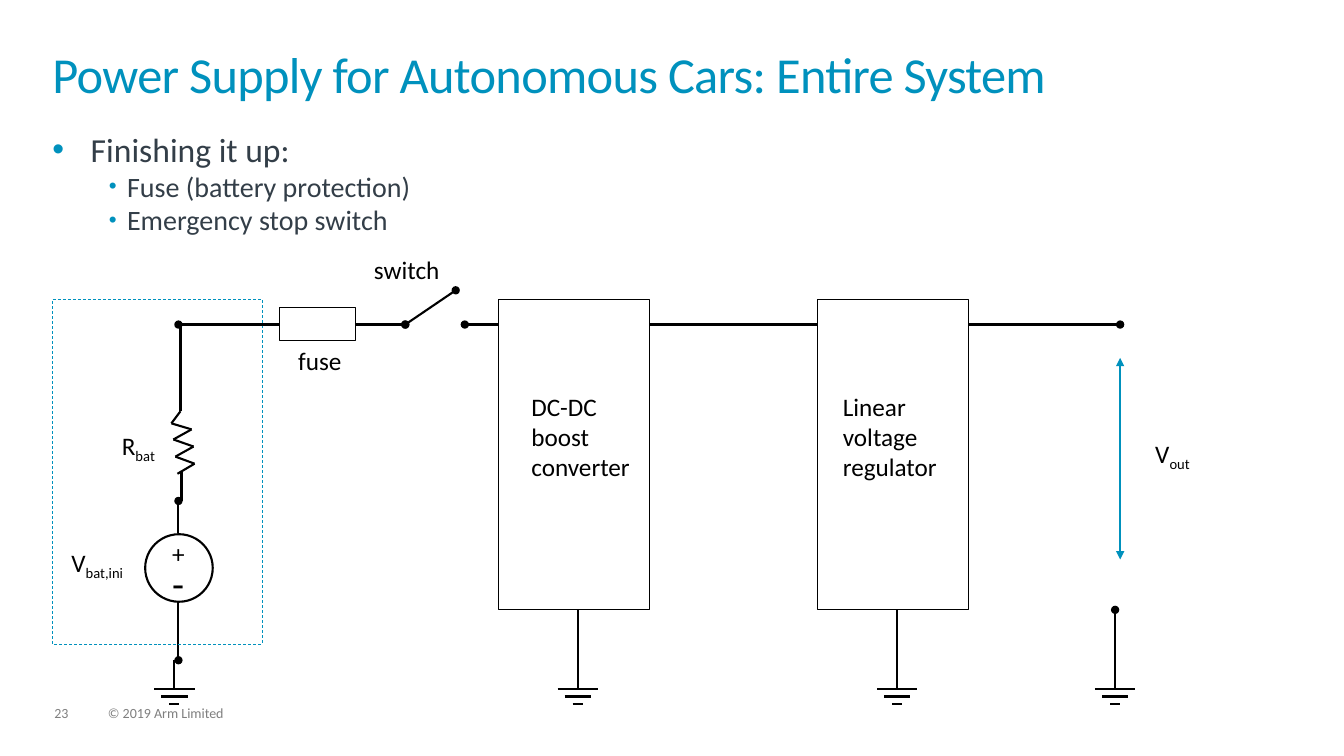
from lxml import etree
from pptx import Presentation
from pptx.dml.color import RGBColor
from pptx.enum.dml import MSO_LINE
from pptx.enum.shapes import MSO_CONNECTOR, MSO_SHAPE
from pptx.enum.text import MSO_ANCHOR, PP_ALIGN
from pptx.oxml.ns import qn
from pptx.util import Inches, Pt

STRAIGHT = MSO_CONNECTOR.STRAIGHT
RECTANGLE, OVAL = MSO_SHAPE.RECTANGLE, MSO_SHAPE.OVAL
DASH = MSO_LINE.DASH
TOP, LEFT = MSO_ANCHOR.TOP, PP_ALIGN.LEFT
FONT = "Calibri"
COLORS = {"accent": "0091BD", "text": "333E48", "ink": "000000",
          "footer": "7F7F7F", "paper": "FFFFFF"}
WIRE_Y = 3.22
GROUND_Y = 6.84


def color(name):
    """Return the named palette colour."""
    return RGBColor.from_string(COLORS[name])


def format_run(run, size, name):
    """Give a run its font, size and colour."""
    run.font.name = FONT
    run.font.size = Pt(size)
    run.font.color.rgb = color(name)


def place(shape, box):
    """Move a shape to a box of left, top, width and height."""
    shape.left, shape.top, shape.width, shape.height = map(Inches, box)


def clear_margins(frame):
    """Remove the insets of a text frame and anchor it to the top."""
    frame.margin_left = frame.margin_right = 0
    frame.margin_top = frame.margin_bottom = 0
    frame.vertical_anchor = TOP


def add_wire(slide, start, end, head=None, tail=None, name="ink", width=1.5):
    """Draw a straight line with optional end marks."""
    wire = slide.shapes.add_connector(STRAIGHT, *map(Inches, start + end))
    wire.line.color.rgb = color(name)
    wire.line.width = Pt(width)
    line = wire.line._get_or_add_ln()
    for tag, kind in (("a:headEnd", head), ("a:tailEnd", tail)):
        if kind:
            etree.SubElement(line, qn(tag), type=kind)
    etree.SubElement(wire._element.spPr, qn("a:effectLst"))


def add_outline(slide, kind, box, name="ink", width=0.5, fill=None):
    """Draw an outlined shape, hollow unless a fill is named."""
    shape = slide.shapes.add_shape(kind, *map(Inches, box))
    shape.shadow.inherit = False
    shape.line.color.rgb = color(name)
    shape.line.width = Pt(width)
    if fill:
        shape.fill.solid()
        shape.fill.fore_color.rgb = color(fill)
    else:
        shape.fill.background()
    return shape


def add_label(slide, box, text, subscript="", size=18, name="ink"):
    """Write a label with an optional subscript."""
    label = slide.shapes.add_textbox(*map(Inches, box))
    frame = label.text_frame
    frame.word_wrap = True
    frame.text = text
    if subscript:
        run = frame.paragraphs[0].add_run()
        run.text = subscript
        run.font._element.set("baseline", "-25000")
    for paragraph in frame.paragraphs:
        for run in paragraph.runs:
            format_run(run, size, name)
    return frame


def add_ground(slide, x, top, head=None):
    """Draw a ground symbol on a stem that starts at the given top."""
    add_wire(slide, (x, top), (x, GROUND_Y), head)
    for row, half in enumerate((0.2, 0.13, 0.05)):
        y = GROUND_Y + 0.07 * row
        add_wire(slide, (x - half, y), (x + half, y))


def add_title(slide, box):
    """Fill the title placeholder."""
    title = slide.shapes.title
    place(title, box)
    frame = title.text_frame
    frame.text = "Power Supply for Autonomous Cars: Entire System"
    clear_margins(frame)
    paragraph = frame.paragraphs[0]
    paragraph.alignment = LEFT
    paragraph.line_spacing = 0.85
    run = paragraph.runs[0]
    format_run(run, 36, "accent")
    run.font._element.set("spc", "-50")


def add_bullet(paragraph, margin, indent, percent):
    """Give a paragraph a coloured bullet and a hanging indent."""
    properties = paragraph._p.get_or_add_pPr()
    properties.set("marL", str(Inches(margin)))
    properties.set("indent", str(Inches(indent)))
    bullet_color = etree.SubElement(properties, qn("a:buClr"))
    etree.SubElement(bullet_color, qn("a:srgbClr"), val=COLORS["accent"])
    etree.SubElement(properties, qn("a:buSzPct"), val=str(percent * 1000))
    etree.SubElement(properties, qn("a:buFont"), typeface="Arial")
    etree.SubElement(properties, qn("a:buChar"), char="•")


def add_body(slide, box):
    """Fill the body placeholder with the list."""
    body = slide.placeholders[1]
    place(body, box)
    frame = body.text_frame
    frame.text = "Finishing it up:\nFuse (battery protection)\nEmergency stop switch"
    clear_margins(frame)
    for index, paragraph in enumerate(frame.paragraphs):
        nested = index > 0
        paragraph.level = int(nested)
        add_bullet(paragraph, *((0.74, -0.18, 80) if nested else (0.38, -0.38, 100)))
        paragraph.space_before = Pt(0)
        format_run(paragraph.runs[0], 20 if nested else 24, "text")


def add_battery(slide, box):
    """Draw the battery model inside its dashed frame."""
    left, top, width, height = box
    x = left + 1.25
    add_outline(slide, OVAL, (x - 0.33, top + 2.33, 0.67, 0.67), width=1.5)
    add_label(slide, (left + 1.09, top + 2.32, 0.44, 0.41), "+")
    add_label(slide, (left + 1.09, top + 2.53, 0.44, 0.57), "-", size=28)
    add_wire(slide, (x, top + 2.32), (x, top + 2), tail="oval")
    add_wire(slide, (x, top + 3), (x, top + 3.58), tail="oval")
    add_ground(slide, x - 0.04, top + 3.58)
    resistor = [(1.27, 0.25), (1.27, 1.11), (1.18, 1.23), (1.38, 1.29),
                (1.2, 1.39), (1.4, 1.46), (1.22, 1.56), (1.41, 1.63), (1.24, 1.73)]
    points = [(left + across, top + down) for across, down in resistor]
    for start, end in zip(points, points[1:]):
        add_wire(slide, start, end)
    add_wire(slide, (left + 1.28, top + 1.71), (left + 1.28, top + 2))
    frame = add_outline(slide, RECTANGLE, box, "accent")
    frame.line.dash_style = DASH
    add_label(slide, (left + 0.09, top + 2.41, 0.83, 0.4), "V", "bat,ini")
    add_label(slide, (left + 0.59, top + 1.25, 0.83, 0.4), "R", "bat")


def add_converter(slide, box, text, inset):
    """Draw a converter block with its text and ground."""
    left, top, width, height = box
    add_outline(slide, RECTANGLE, box, fill="paper")
    add_ground(slide, left + 0.79, top + height)
    clear_margins(add_label(slide, (left + inset, top + 0.91, 1.17, 1), text))


def add_fuse_and_switch(slide, box):
    """Draw the fuse, the open switch and their labels."""
    left, top, width, height = box
    right, contact = left + width, left + 1.25
    add_wire(slide, (left, WIRE_Y), (left - 1, WIRE_Y), tail="oval")
    add_wire(slide, (left + 2.17, WIRE_Y), (left + 1.84, WIRE_Y), tail="oval")
    add_wire(slide, (right, WIRE_Y), (contact, WIRE_Y), tail="oval")
    add_wire(slide, (contact + 0.5, 2.88), (contact, WIRE_Y), "oval", "oval")
    add_outline(slide, RECTANGLE, box)
    add_label(slide, (left + 0.09, top + height, 0.83, 0.4), "fuse")
    add_label(slide, (left + 0.84, top - 0.58, 1.25, 0.4), "switch")


def add_output(slide, x, top):
    """Draw the output voltage arrow, its label and ground."""
    add_wire(slide, (x, top), (x, top + 2), "triangle", "triangle", "accent", 1)
    add_label(slide, (x + 0.25, top + 0.75, 0.83, 0.4), "V", "out")
    add_ground(slide, x - 0.05, top + 2.5, "oval")


def add_footer(slide, left, top):
    """Write the slide number and the copyright line."""
    for offset, width, text in ((0, 0.34, "23"), (0.53, 1.71, "© 2019 Arm Limited")):
        frame = add_label(slide, (left + offset, top, width, 0.15), text,
                          size=10, name="footer")
        clear_margins(frame)
        frame.paragraphs[0].line_spacing = 0.9


def main():
    """Build the slide and save it."""
    presentation = Presentation()
    presentation.slide_width, presentation.slide_height = Inches(13.33), Inches(7.5)
    slide = presentation.slides.add_slide(presentation.slide_layouts[1])
    add_footer(slide, 0.54, 7.01)
    add_title(slide, (0.52, 0.52, 12.28, 0.72))
    add_body(slide, (0.52, 1.28, 12.28, 4.47))
    for start, end in ((8.44, 6.36), (11.11, 9.02)):
        add_wire(slide, (start, WIRE_Y), (end, WIRE_Y), "oval", "oval")
    add_battery(slide, (0.52, 2.97, 2.08, 3.42))
    add_converter(slide, (4.94, 2.97, 1.5, 3.08), "DC-DC\nboost converter", 0.33)
    add_converter(slide, (8.11, 2.97, 1.5, 3.08), "Linear voltage regulator", 0.25)
    add_output(slide, 11.11, 3.55)
    add_fuse_and_switch(slide, (2.77, 3.05, 0.75, 0.33))
    presentation.save("out.pptx")


if __name__ == "__main__":
    main()
